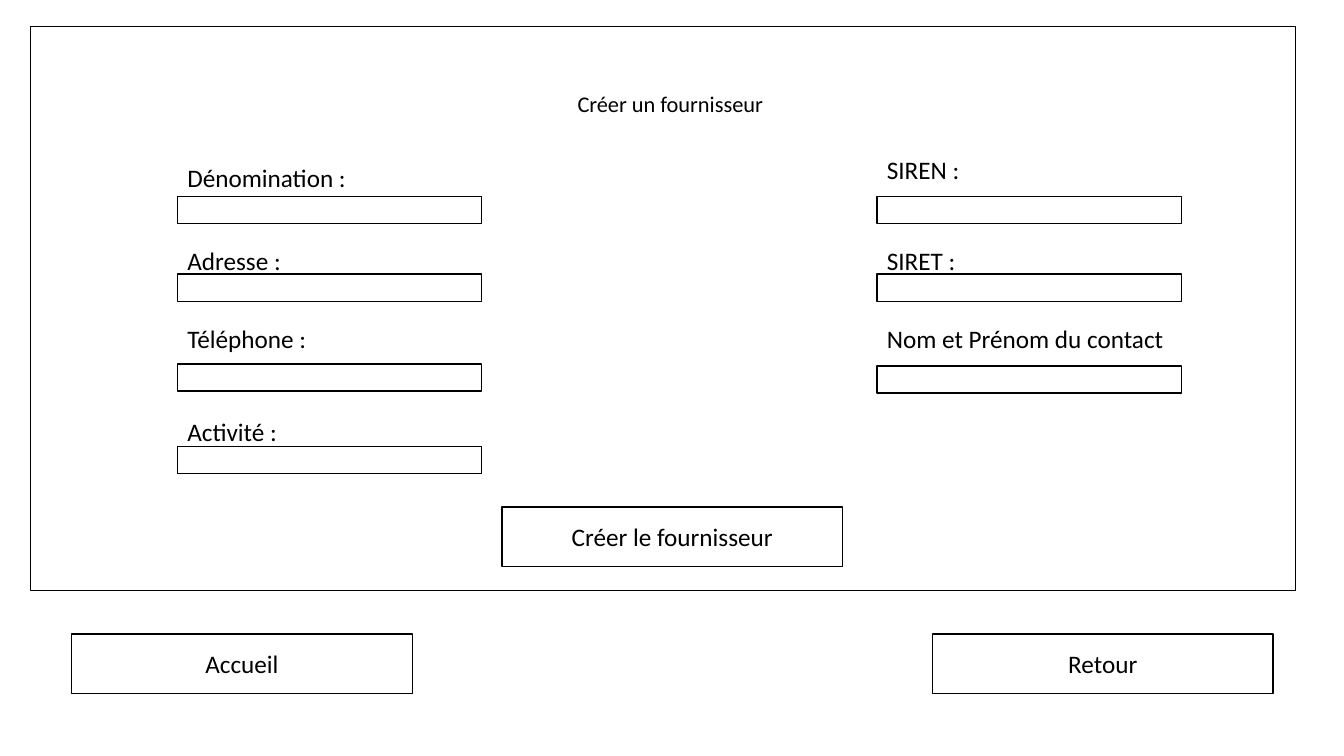
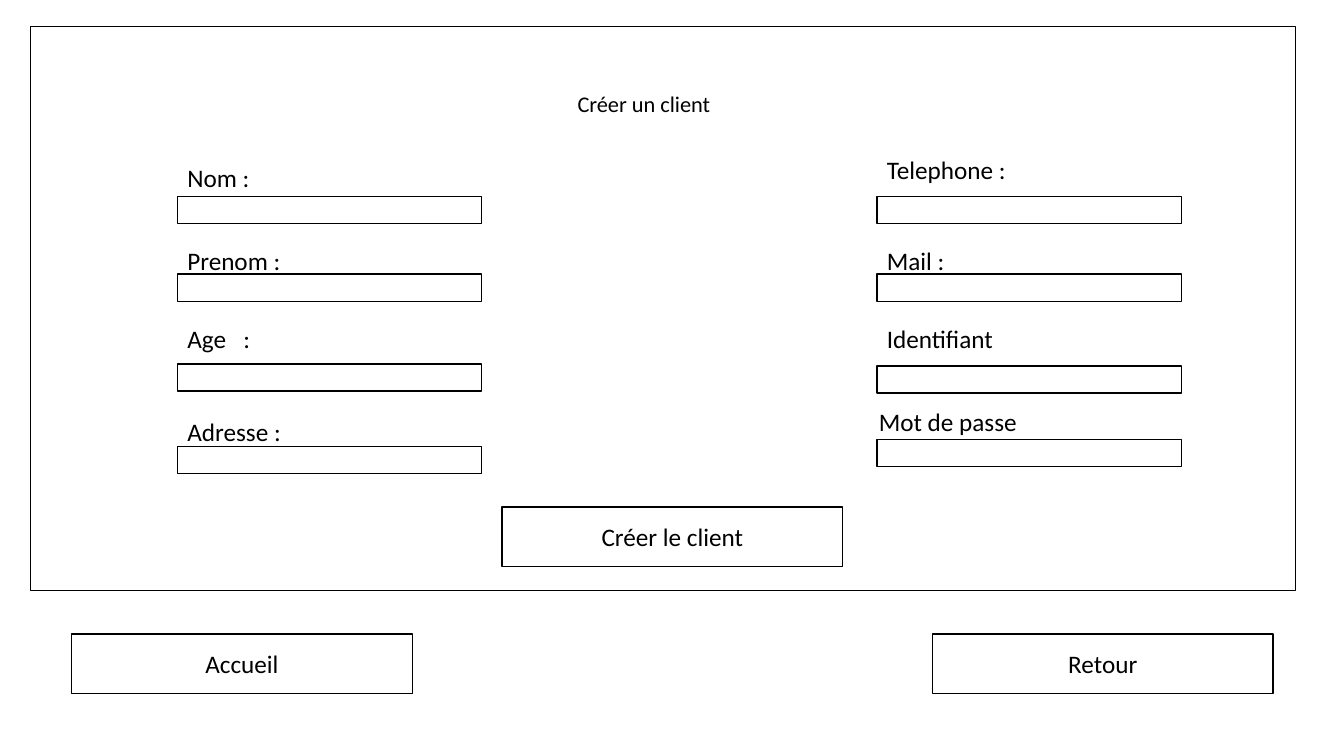
from pptx import Presentation
from pptx import util as u
from pptx.dml.color import RGBColor
from pptx.enum import shapes, text

BLACK = RGBColor(0x00, 0x00, 0x00)
WHITE = RGBColor(0xFF, 0xFF, 0xFF)
FONT = "Calibri"
SLIDE_W, SLIDE_H = u.Inches(13.333), u.Inches(7.5)

# Lengths are percentages of the slide's width and height
LEFT_X, RIGHT_X = 13.2, 65.25
FIELD_W, INPUT_H, LABEL_H = 22.65, 3.6, 5.33
BUTTON_W, BUTTON_H = 25.35, 7.87
NAV_Y = 83.87

# Label top and input top of each row
LEFT_ROWS = [(20.8, 26), (31.73, 36.27), (42.13, 48.13), (54.4, 59.07)]
RIGHT_ROWS = [(19.73, 26), (31.73, 36.27), (42.13, 48.4), (53.07, 58.13)]

FORMS = [
    ("Créer un fournisseur", "Créer le fournisseur",
     ["Dénomination :", "Adresse :", "Téléphone :", "Activité :"],
     ["SIREN :", "SIRET :", "Nom et Prénom du contact "]),
    ("Créer un client", "Créer le client",
     ["Nom :", "Prenom :", "Age\t :", "Adresse :"],
     ["Telephone :", "Mail :", "Identifiant", "Mot de passe"]),
]


def place(x, y, w, h):
    """Turn percentages of the slide into a position and a size."""
    return [round(share * side / 100) for share, side in
            ((x, SLIDE_W), (y, SLIDE_H), (w, SLIDE_W), (h, SLIDE_H))]


def write(sp, words, size, align):
    tf = sp.text_frame
    tf.word_wrap = True
    p = tf.paragraphs[0]
    p.text = words
    p.alignment = align
    p.font.name = FONT
    p.font.size = u.Pt(size)
    p.font.color.rgb = BLACK


def add_box(s, *area):
    sp = s.shapes.add_shape(shapes.MSO_SHAPE.RECTANGLE, *place(*area))
    sp.shadow.inherit = False
    sp.fill.solid()
    sp.fill.fore_color.rgb = WHITE
    sp.line.color.rgb = BLACK
    sp.line.width = u.Pt(1)
    return sp


def add_label(s, words, *area, size=18):
    sp = s.shapes.add_textbox(*place(*area))
    write(sp, words, size, text.PP_ALIGN.LEFT)
    sp.text_frame.auto_size = text.MSO_AUTO_SIZE.SHAPE_TO_FIT_TEXT


def add_button(s, words, x, y):
    sp = add_box(s, x, y, BUTTON_W, BUTTON_H)
    write(sp, words, 18, text.PP_ALIGN.CENTER)
    sp.text_frame.vertical_anchor = text.MSO_ANCHOR.MIDDLE


def add_fields(s, labels, x, rows):
    for label, (label_y, input_y) in zip(labels, rows):
        add_box(s, x, input_y, FIELD_W, INPUT_H)
        # The password label sits slightly left of its column
        label_x = x - 0.6 if label == "Mot de passe" else x
        add_label(s, label, label_x, label_y, FIELD_W, LABEL_H)


def add_form(prs, title, action, left_labels, right_labels):
    s = prs.slides.add_slide(prs.slide_layouts[6])
    # Frame and title
    add_box(s, 2.25, 3.47, 94.13, 74.67)
    add_label(s, title, 42.23, 11.2, 15.6, 4.93, size=16)
    # Two columns of fields
    add_fields(s, left_labels, LEFT_X, LEFT_ROWS)
    add_fields(s, right_labels, RIGHT_X, RIGHT_ROWS)
    # Action and navigation
    add_button(s, action, 37.35, 67.07)
    add_button(s, "Retour", 69.38, NAV_Y)
    add_button(s, "Accueil", 5.33, NAV_Y)


def main():
    prs = Presentation()
    prs.slide_width, prs.slide_height = SLIDE_W, SLIDE_H
    for form in FORMS:
        add_form(prs, *form)
    prs.save("out.pptx")


main()
